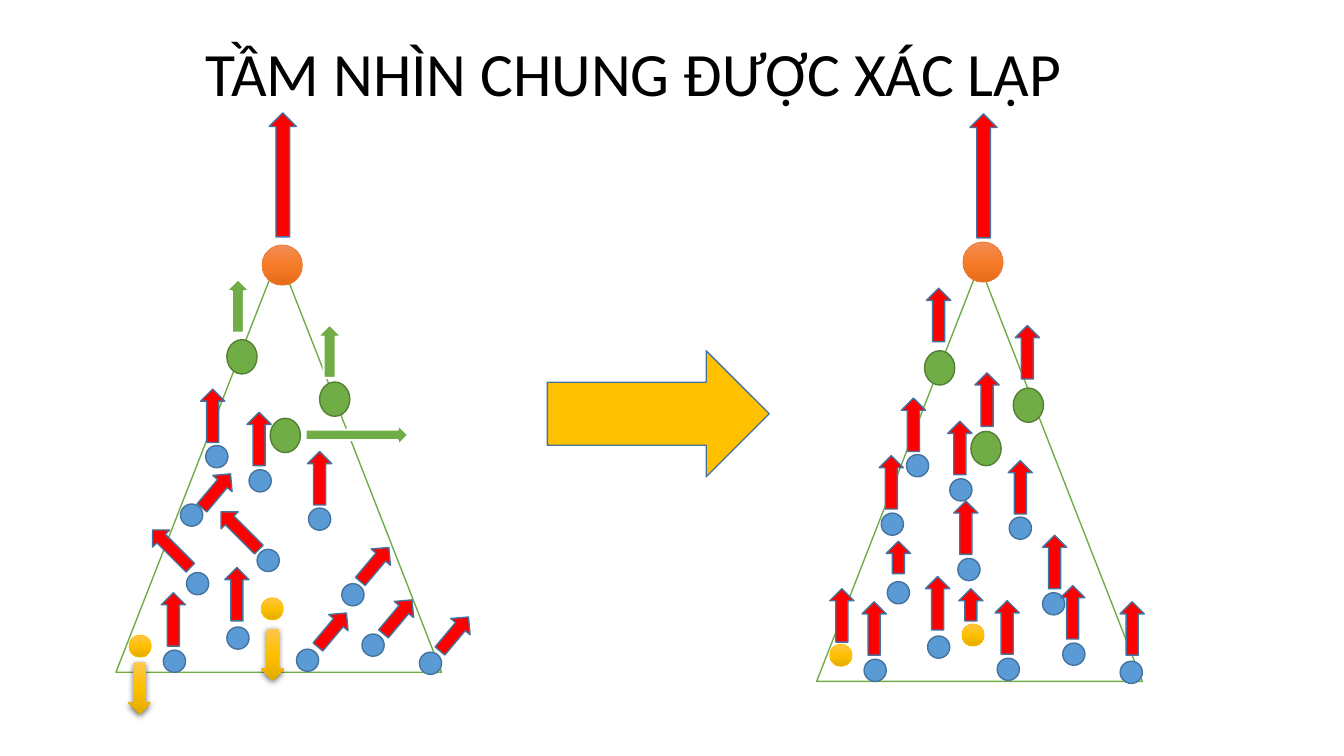
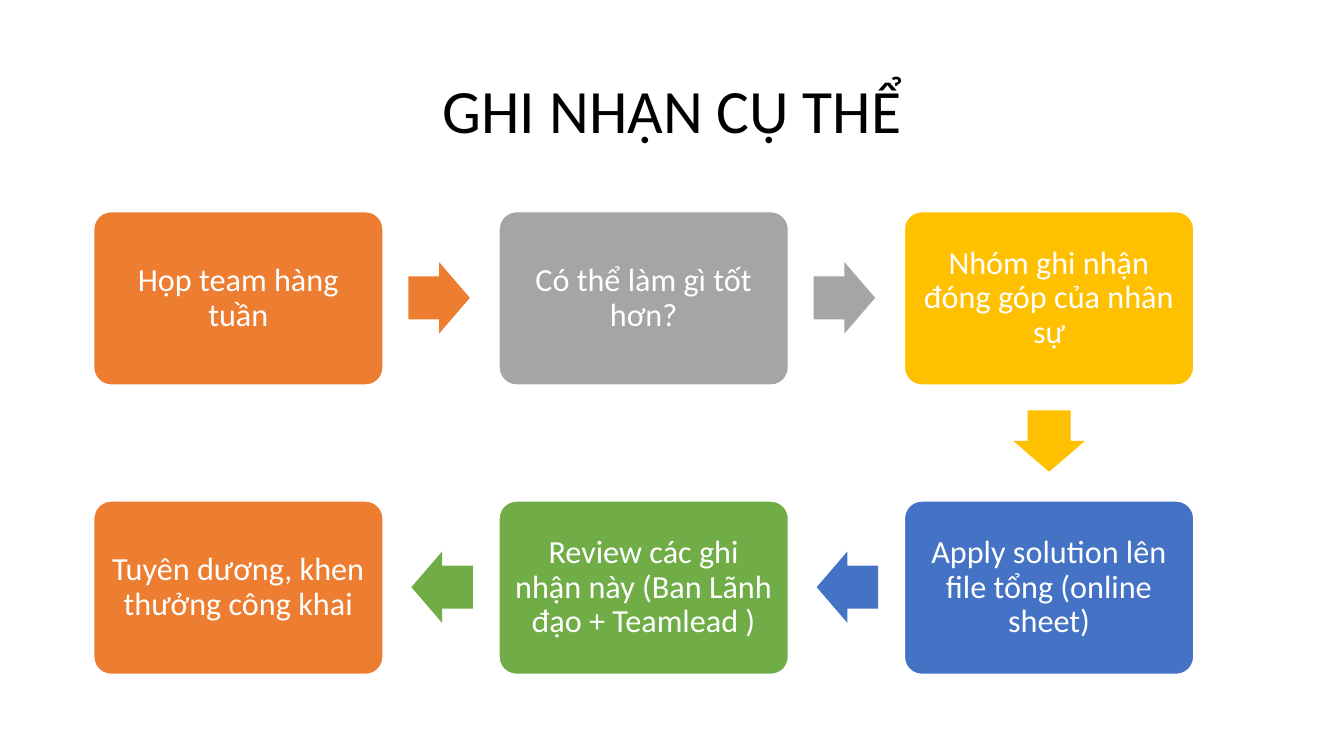
from copy import deepcopy
from dataclasses import dataclass

from lxml.etree import SubElement
from pptx import Presentation
from pptx.dml.color import RGBColor
from pptx.enum.shapes import MSO_SHAPE
from pptx.enum.text import MSO_ANCHOR, MSO_AUTO_SIZE, PP_ALIGN
from pptx.oxml.ns import qn
from pptx.util import Inches, Pt


@dataclass(frozen=True)
class Theme:
    font: str = "Calibri"
    title_size: int = 44
    step_size: int = 23
    ink: str = "000000"
    paper: str = "FFFFFF"
    red: str = "FF0000"
    blue: str = "5B9BD5"
    blue_edge: str = "43739E"
    green: str = "70AD47"
    green_edge: str = "538035"
    orange: str = "ED7D31"
    amber: str = "FFC000"
    gray: str = "A5A5A5"
    indigo: str = "4472C4"
    amber_blend: tuple = ("FFC64B", "FFC000", "E3AB00")
    orange_blend: tuple = ("F18C57", "F67B28", "E56C19")


class Deck:
    def __init__(self, theme):
        self.theme = theme
        self.presentation = Presentation()
        self.presentation.slide_width = Inches(13.33)
        self.presentation.slide_height = Inches(7.5)
        self.slide = None
        self.canvas = None
        self.origin = (0, 0)

    def add_slide(self, title, left, top):
        self.slide = self.presentation.slides.add_slide(self.presentation.slide_layouts[5])
        self.start_canvas(self.slide.shapes)
        heading = self.slide.shapes.title
        heading.left, heading.top = Inches(left), Inches(top)
        heading.width, heading.height = Inches(11.5), Inches(1.45)
        self.set_text(heading.text_frame, title, self.theme.title_size, self.theme.ink)

    def start_canvas(self, shapes, left=0, top=0):
        self.canvas = shapes
        self.origin = (left, top)

    def start_group(self, left, top):
        self.start_canvas(self.slide.shapes.add_group_shape().shapes, left, top)

    def set_text(self, frame, text, size, colour):
        frame.text = text
        frame.word_wrap = True
        frame.auto_size = MSO_AUTO_SIZE.NONE
        frame.vertical_anchor = MSO_ANCHOR.MIDDLE
        paragraph = frame.paragraphs[0]
        paragraph.alignment = PP_ALIGN.CENTER
        paragraph.line_spacing = 0.9
        paragraph.font.name = self.theme.font
        paragraph.font.size = Pt(size)
        paragraph.font.color.rgb = RGBColor.from_string(colour)

    def shape(self, kind, left, top, width, height, fill, edge=None, edge_width=1, turn=0):
        x, y = self.origin
        shape = self.canvas.add_shape(
            kind, Inches(x + left), Inches(y + top), Inches(width), Inches(height))
        shape.rotation = turn
        shape.shadow.inherit = False
        if isinstance(fill, tuple):
            self.blend(shape, fill)
        else:
            shape.fill.solid()
            shape.fill.fore_color.rgb = RGBColor.from_string(fill)
        if edge:
            shape.line.color.rgb = RGBColor.from_string(edge)
            shape.line.width = Pt(edge_width)
        else:
            shape.line.fill.background()
        return shape

    def blend(self, shape, colours):
        shape.fill.gradient()
        shape.fill.gradient_angle = 270
        stop_list = shape._element.spPr.find(qn("a:gradFill")).find(qn("a:gsLst"))
        stop_list.append(deepcopy(stop_list[0]))
        for stop, position, colour in zip(shape.fill.gradient_stops, (0, 0.5, 1), colours):
            stop.position = position
            stop.color.rgb = RGBColor.from_string(colour)

    def drop_shadow(self, shape):
        effects = shape._element.spPr.find(qn("a:effectLst"))
        shadow = SubElement(effects, qn("a:outerShdw"), blurRad=str(Pt(4.5)),
                            dist=str(Pt(1.5)), dir="5400000", algn="ctr", rotWithShape="0")
        colour = SubElement(shadow, qn("a:srgbClr"), val=self.theme.ink)
        SubElement(colour, qn("a:alpha"), val="63000")

    def dot(self, left, top, width, height, fill, edge, edge_width=1):
        self.shape(MSO_SHAPE.FLOWCHART_CONNECTOR, left, top, width, height,
                   fill, edge, edge_width)

    def red_arrow(self, left, top, width=0.24, height=0.53, turn=0):
        self.shape(MSO_SHAPE.UP_ARROW, left, top, width, height,
                   self.theme.red, self.theme.blue_edge, turn=turn)

    def green_arrow(self, kind, left, top, width, height):
        self.shape(kind, left, top, width, height, self.theme.green, self.theme.paper, 1.5)

    def falling_arrow(self, left, top):
        self.drop_shadow(self.shape(
            MSO_SHAPE.DOWN_ARROW, left, top, 0.23, 0.51, self.theme.amber_blend))

    def pyramid(self, left, top, vision_top, head_top, leaders, outsiders):
        theme = self.theme
        self.start_group(left, top)
        self.shape(MSO_SHAPE.ISOSCELES_TRIANGLE, 0, 0, 3.23, 4.13, theme.paper, theme.green)
        for x, y in MEMBERS:
            self.dot(x, y, 0.22, 0.22, theme.blue, theme.blue_edge)
        for x, y in outsiders:
            self.dot(x, y, 0.22, 0.22, theme.amber_blend, theme.amber, 0.5)
        self.red_arrow(1.52, vision_top, 0.27, 1.23)
        for x, y in ALIGNED_IN_BOTH:
            self.red_arrow(x, y)
        self.dot(1.45, head_top, 0.4, 0.4, theme.orange_blend, theme.orange, 0.5)
        for x, y in leaders:
            self.dot(x, y, 0.3, 0.34, theme.green, theme.green_edge)

    def step(self, text, colour, left, top):
        box = self.shape(MSO_SHAPE.ROUNDED_RECTANGLE, left, top, STEP_WIDTH, STEP_HEIGHT,
                         colour, self.theme.paper)
        box.adjustments[0] = 0.1
        frame = box.text_frame
        frame.margin_left = frame.margin_right = Inches(0.1)
        frame.margin_top = frame.margin_bottom = Inches(0.1)
        self.set_text(frame, text, self.theme.step_size, self.theme.paper)

    def step_arrow(self, colour, left, top, turn):
        arrow = self.shape(MSO_SHAPE.RIGHT_ARROW, left, top, 0.61, 0.71, colour, turn=turn)
        arrow.adjustments[0] = 0.6


MEMBERS = [(0.89, 1.88), (1.32, 2.12), (1.91, 2.5), (1.4, 2.91), (0.7, 3.14), (2.24, 3.25),
           (1.1, 3.68), (2.44, 3.75), (3.01, 3.93), (1.79, 3.9), (0.47, 3.91), (0.64, 2.46)]
ALIGNED_IN_BOTH = [(1.3, 1.55), (1.9, 1.94), (1.08, 3.09), (0.84, 1.32), (0.45, 3.34)]
NEWLY_ALIGNED = [(1.09, 0.23), (2.24, 2.68), (1.97, 0.6), (1.57, 1.07), (3.01, 3.34),
                 (2.42, 3.18), (1.77, 3.33), (1.36, 2.34), (0.62, 1.89), (0.13, 3.21)]
NEWLY_ALIGNED_SHORT = [(1.41, 3.21), (0.69, 2.74)]
LEANING_RIGHT = [(3.23, 3.53), (2.67, 3.36), (2.02, 3.49), (0.87, 2.11), (2.44, 2.84)]
LEANING_LEFT = [(0.43, 2.64), (1.11, 2.46)]
STEP_WIDTH, STEP_HEIGHT = 2.87, 1.72
COLUMN_PITCH, ROW_PITCH = 4.02, 2.87
ARROW_OFFSETS = {0: (3.12, 0.5), 90: (1.13, 1.92), 180: (-0.87, 0.5)}


def build_vision(deck):
    theme = deck.theme
    deck.add_slide("TẦM NHÌN CHUNG ĐƯỢC XÁC LẬP", 0.54, 0.03)

    deck.pyramid(8.1, 2.63, -1.5, -0.23,
                 leaders=[(1.07, 0.85), (1.95, 1.22), (1.53, 1.65)],
                 outsiders=[(0.13, 3.76), (1.44, 3.56)])
    for x, y in NEWLY_ALIGNED:
        deck.red_arrow(x, y)
    for x, y in NEWLY_ALIGNED_SHORT:
        deck.red_arrow(x, y, height=0.32)

    deck.start_canvas(deck.slide.shapes)
    deck.shape(MSO_SHAPE.RIGHT_ARROW, 5.43, 3.48, 2.2, 1.25, theme.amber, theme.blue_edge)

    deck.pyramid(1.15, 2.54, -1.42, -0.11,
                 leaders=[(1.1, 0.83), (2.02, 1.25), (1.53, 1.61)],
                 outsiders=[(0.13, 3.76), (1.44, 3.39)])
    for x, y in LEANING_RIGHT:
        deck.red_arrow(x, y, 0.25, 0.44, 40)
    for x, y in LEANING_LEFT:
        deck.red_arrow(x, y, turn=-45)
    for x, y in [(1.09, 0.23), (2, 0.68)]:
        deck.green_arrow(MSO_SHAPE.UP_ARROW, x, y, 0.24, 0.53)
    deck.green_arrow(MSO_SHAPE.RIGHT_ARROW, 1.88, 1.67, 1.02, 0.21)
    for x, y in [(1.44, 3.7), (0.12, 4.03)]:
        deck.falling_arrow(x, y)


def build_recognition(deck):
    theme = deck.theme
    deck.add_slide("GHI NHẬN CỤ THỂ", 0.92, 0.4)
    steps = [
        ("Họp team hàng tuần", theme.orange, 0),
        ("Có thể làm gì tốt hơn?", theme.gray, 0),
        ("Nhóm ghi nhận đóng góp của nhân sự", theme.amber, 90),
        ("Apply solution lên file tổng (online sheet)", theme.indigo, 180),
        ("Review các ghi nhận này (Ban Lãnh đạo + Teamlead )", theme.green, 180),
        ("Tuyên dương, khen thưởng công khai", theme.orange, None),
    ]
    deck.start_group(0.93, 2.1)
    for index, (text, colour, turn) in enumerate(steps):
        row, column = divmod(index, 3)
        if row:
            column = 2 - column
        left, top = column * COLUMN_PITCH, row * ROW_PITCH
        deck.step(text, colour, left, top)
        if turn is not None:
            across, down = ARROW_OFFSETS[turn]
            deck.step_arrow(colour, left + across, top + down, turn)


def main():
    deck = Deck(Theme())
    build_vision(deck)
    build_recognition(deck)
    deck.presentation.save("out.pptx")


if __name__ == "__main__":
    main()
